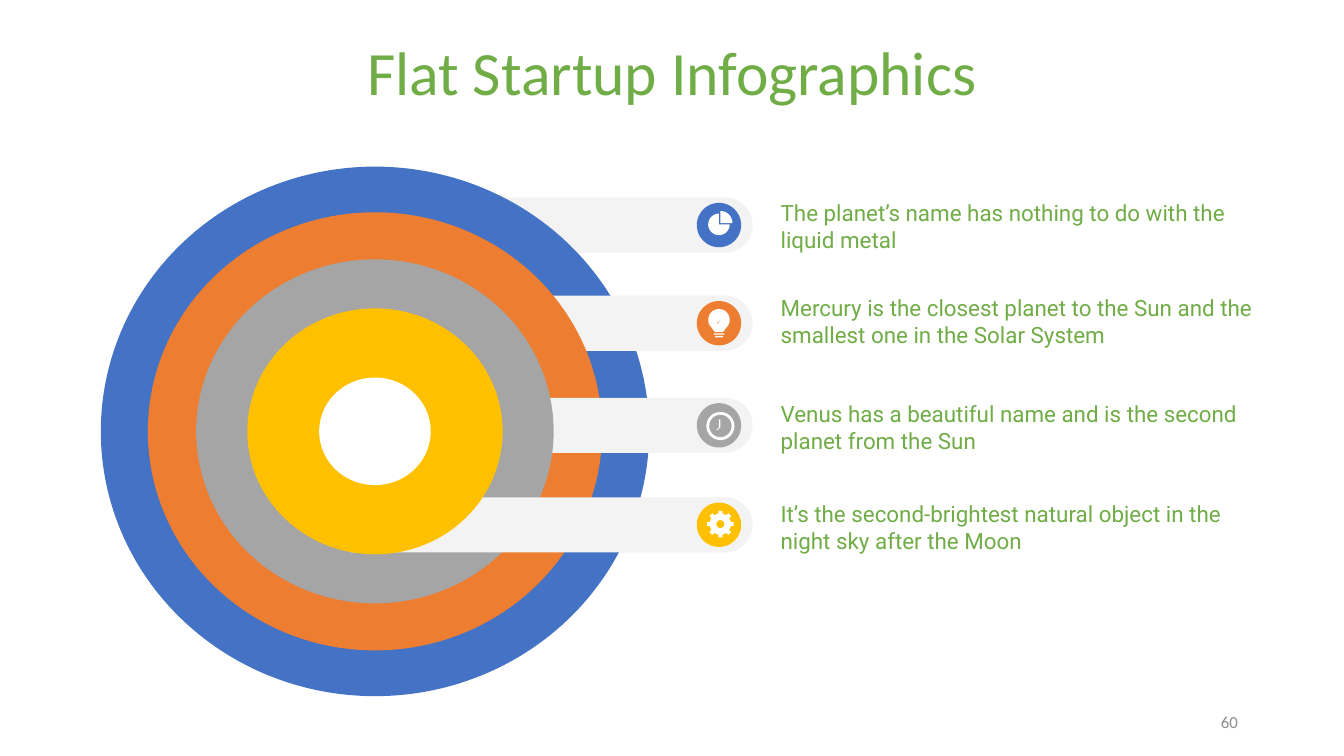
import dataclasses
import math

import pptx
import pptx.dml.color
import pptx.enum.shapes
import pptx.enum.text
import pptx.util

Inches = pptx.util.Inches
Align = pptx.enum.text.PP_ALIGN
Anchor = pptx.enum.text.MSO_ANCHOR
Preset = pptx.enum.shapes.MSO_SHAPE
Point = tuple[float, float]

GREEN, WHITE, PALE = "70AD47", "FFFFFF", "F3F3F3"
RING_X, RING_Y = 2.79, 3.21
BAR_HEIGHT, BAR_RIGHT = 0.41, 5.6
BADGE_X, BADGE_SIZE = 5.35, 0.33


@dataclasses.dataclass(frozen=True)
class Level:
    text: str
    color: str
    ring_width: float
    ring_height: float
    bar_top: float
    bar_top_left: float
    bar_bottom_left: float
    label_top: float


LEVELS = [
    Level("The planet’s name has nothing to do with the liquid metal",
          "4472C4", 4.08, 3.94, 1.47, 3.42, 3.73, 1.38),
    Level("Mercury is the closest planet to the Sun and the smallest one in the Solar System",
          "ED7D31", 3.38, 3.26, 2.2, 3.42, 3.73, 2.09),
    Level("Venus has a beautiful name and is the second planet from the Sun",
          "A5A5A5", 2.66, 2.56, 2.96, 3.67, 3.67, 2.88),
    Level("It’s the second-brightest natural object in the night sky after the Moon",
          "FFC000", 1.9, 1.83, 3.7, 2.95, 2.61, 3.62),
]


def rgb(color: str) -> pptx.dml.color.RGBColor:
    return pptx.dml.color.RGBColor.from_string(color)


def paint(shape, color: str) -> None:
    """Give a shape a flat fill with no outline or shadow."""
    shape.shadow.inherit = False
    shape.fill.solid()
    shape.fill.fore_color.rgb = rgb(color)
    shape.line.fill.background()


def add_preset(page, preset, x: float, y: float, width: float, height: float, color: str):
    """Draw a preset shape centred on x, y."""
    shape = page.shapes.add_shape(preset, Inches(x - width / 2), Inches(y - height / 2),
                                  Inches(width), Inches(height))
    paint(shape, color)
    return shape


def polar(x: float, y: float, radius: float, degrees: float) -> Point:
    angle = math.radians(degrees)
    return x + radius * math.cos(angle), y + radius * math.sin(angle)


def arc(x: float, y: float, radius: float, start: float, end: float) -> list[Point]:
    """Points along an arc, clockwise from the right."""
    steps = 40
    return [polar(x, y, radius, start + (end - start) * i / steps) for i in range(steps + 1)]


def add_outline(page, color: str, *contours: list[Point]) -> None:
    """Draw closed contours as one shape; inner contours become holes."""
    scaled = [[(Inches(x), Inches(y)) for x, y in contour] for contour in contours]
    builder = page.shapes.build_freeform(*scaled[0][0], scale=1.0)
    builder.add_line_segments(scaled[0][1:], close=True)
    for contour in scaled[1:]:
        builder.move_to(*contour[0])
        builder.add_line_segments(contour[1:], close=True)
    paint(builder.convert_to_shape(), color)


def write(box, text: str, font: str, size: float, color: str, align, anchor,
          side: float = 0.1, edge: float = 0.1):
    frame = box.text_frame
    frame.word_wrap = True
    frame.auto_size = pptx.enum.text.MSO_AUTO_SIZE.NONE
    frame.vertical_anchor = anchor
    frame.margin_left = frame.margin_right = Inches(side)
    frame.margin_top = frame.margin_bottom = Inches(edge)
    para = frame.paragraphs[0]
    para.alignment = align
    span = para.add_run()
    span.text = text
    span.font.name = font
    span.font.size = pptx.util.Pt(size)
    span.font.color.rgb = rgb(color)
    return para


def add_text_box(page, left: float, top: float, width: float, height: float):
    return page.shapes.add_textbox(Inches(left), Inches(top), Inches(width), Inches(height))


def add_level(page, level: Level) -> None:
    radius = BAR_HEIGHT / 2
    middle = level.bar_top + radius
    cap = arc(BAR_RIGHT - radius, middle, radius, -90, 90)
    add_outline(page, PALE, [(level.bar_top_left, level.bar_top), *cap,
                             (level.bar_bottom_left, level.bar_top + BAR_HEIGHT)])
    add_preset(page, Preset.OVAL, RING_X, RING_Y, level.ring_width, level.ring_height,
               level.color)
    add_preset(page, Preset.OVAL, BADGE_X, middle, BADGE_SIZE, BADGE_SIZE, level.color)
    label = add_text_box(page, 5.71, level.label_top, 3.79, 0.56)
    write(label, level.text, "Roboto", 12, GREEN, Align.LEFT, Anchor.TOP)


def add_pie_icon(page) -> None:
    add_outline(page, WHITE, [(5.35, 1.67), *arc(5.35, 1.67, 0.08, 0, 270)])
    add_outline(page, WHITE, [(5.36, 1.66), *arc(5.36, 1.66, 0.09, -90, 0)])


def add_bulb_icon(page) -> None:
    neck = [(5.39, 2.46), (5.38, 2.47), (5.32, 2.47), (5.31, 2.46)]
    check = [(5.38, 2.37), (5.34, 2.41), (5.33, 2.39), (5.34, 2.4)]
    add_outline(page, WHITE, arc(5.35, 2.38, 0.08, 130, 410) + neck, check)
    for top, width in ((2.48, 0.08), (2.5, 0.06)):
        height = 0.01
        add_preset(page, Preset.ROUNDED_RECTANGLE, 5.35, top + height / 2, width, height, WHITE)


def add_clock_icon(page) -> None:
    face = add_preset(page, Preset.DONUT, 5.36, 3.17, 0.21, 0.21, WHITE)
    face.adjustments[0] = 0.1
    add_outline(page, WHITE, [(5.35, 3.12), (5.36, 3.12), (5.36, 3.18),
                              (5.34, 3.2), (5.33, 3.2), (5.35, 3.18)])


def add_gear_icon(page) -> None:
    x, y = 5.36, 3.9
    teeth = [polar(x, y, radius, tooth * 45 + turn) for tooth in range(8)
             for radius, turn in ((0.08, -11), (0.1, -9), (0.1, 9), (0.08, 11))]
    add_outline(page, WHITE, teeth, arc(x, y, 0.03, 0, 360))


def main() -> None:
    deck = pptx.Presentation()
    deck.slide_width = Inches(10)
    deck.slide_height = deck.slide_width * 9 // 16
    page = deck.slides.add_slide(deck.slide_layouts[5])

    for level in LEVELS:
        add_level(page, level)

    title = page.shapes.title
    title.left, title.top = Inches(2.53), Inches(0.22)
    title.width, title.height = Inches(4.94), Inches(0.68)
    para = write(title, "Flat Startup Infographics", "Calibri", 33, GREEN,
                 Align.CENTER, Anchor.MIDDLE)
    para.line_spacing = 0.9

    number = add_text_box(page, 7.06, 5.22, 2.25, 0.3)
    write(number, "60", "Calibri", 9, "8C8C8C", Align.RIGHT, Anchor.MIDDLE, edge=0.05)

    add_preset(page, Preset.OVAL, RING_X, RING_Y, 0.83, 0.8, WHITE)
    for add_icon in (add_clock_icon, add_gear_icon, add_pie_icon, add_bulb_icon):
        add_icon(page)
    deck.save("out.pptx")


if __name__ == "__main__":
    main()
